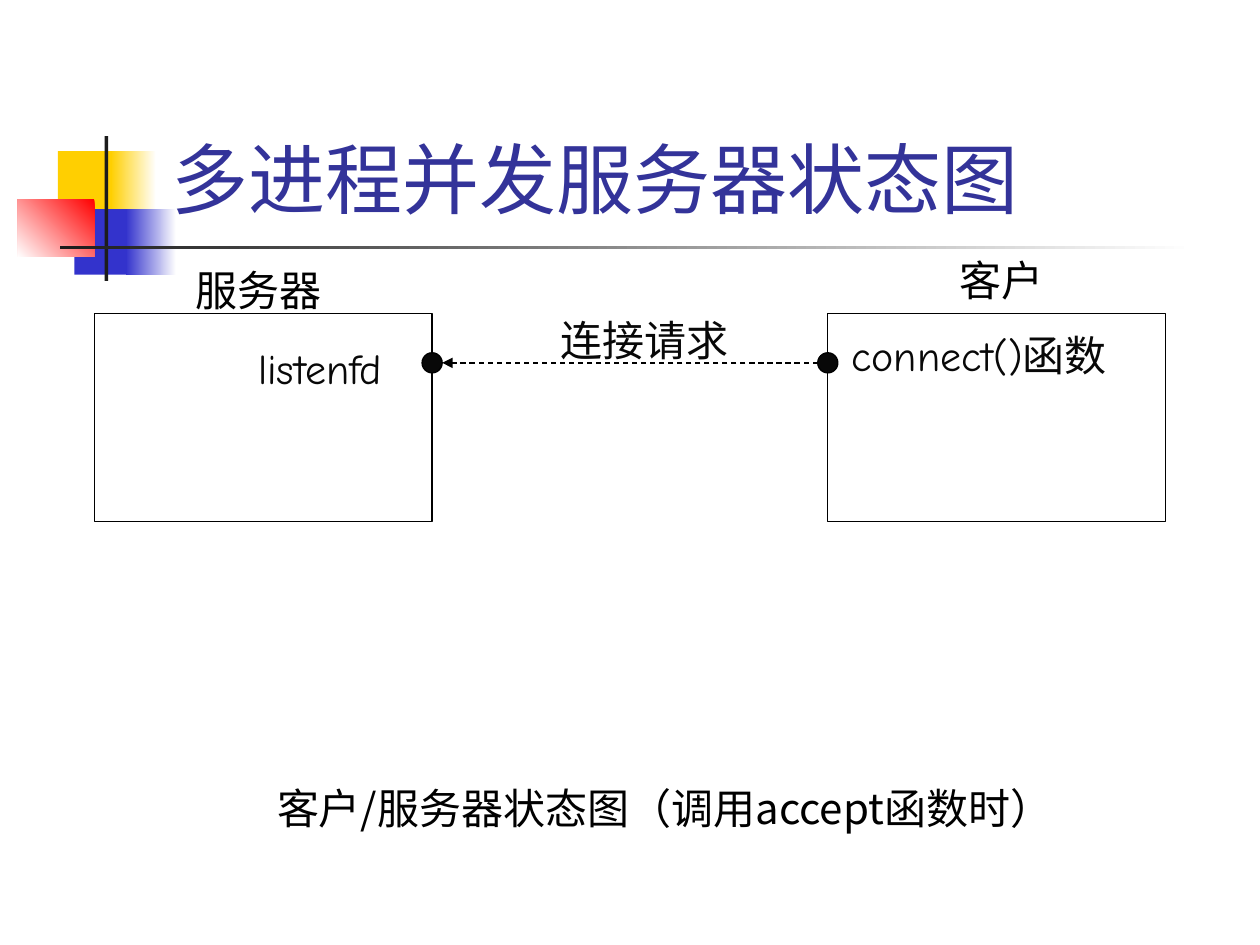
from lxml.etree import SubElement
from pptx import Presentation
from pptx.dml.color import RGBColor
from pptx.enum.dml import MSO_LINE
from pptx.enum.shapes import MSO_CONNECTOR, MSO_SHAPE
from pptx.enum.text import MSO_ANCHOR, MSO_AUTO_SIZE, PP_ALIGN
from pptx.oxml.ns import qn
from pptx.util import Inches, Pt

BLACK = RGBColor(0x00, 0x00, 0x00)
INK = RGBColor(0x08, 0x08, 0x08)
CHARCOAL = RGBColor(0x1C, 0x1C, 0x1C)
WHITE = RGBColor(0xFF, 0xFF, 0xFF)
YELLOW = RGBColor(0xFF, 0xCF, 0x01)
BLUE = RGBColor(0x33, 0x33, 0xCC)
RED = RGBColor(0xFF, 0x00, 0x00)
NAVY = RGBColor(0x33, 0x33, 0x99)

SLIDE_W, SLIDE_H = 10, 7.5
TITLE = "多进程并发服务器状态图"
TITLE_AREA = (1.26, 0.23, 8.52, 1.6)

# area, colours (one is solid, two fade), counterclockwise fade angle
ORNAMENTS = [
    ((0.46, 1.2, 0.48, 0.52), [YELLOW], 0),
    ((0.88, 1.2, 0.36, 0.52), [WHITE, YELLOW], 180),
    ((0.59, 1.66, 0.46, 0.52), [BLUE], 0),
    ((1, 1.66, 0.4, 0.52), [WHITE, BLUE], 180),
    ((0.14, 1.58, 0.61, 0.46), [RED, WHITE], 225),
    ((0.83, 1.08, 0.03, 1.15), [CHARCOAL], 0),
    ((0.48, 1.95, 9, 0.03), [WHITE, CHARCOAL], 180),
]

MARGIN = 0.75
BOX_TOP, BOX_W, BOX_H = 2.49, 2.68, 1.65
SERVER_LEFT = MARGIN
CLIENT_LEFT = SLIDE_W - MARGIN - BOX_W
PORT_SIZE, PORT_Y = 0.16, 2.88
PORTS_X = (SERVER_LEFT + BOX_W, CLIENT_LEFT)

LABEL_H = 0.5
# text, left, top, width, font, colour; widths leave a little room to spare
LABELS = [
    ("服务器", 1.45, 2.05, 1.25, "Arial", BLACK),
    ("客户", 7.52, 1.97, 0.95, "Arial", BLACK),
    ("connect()函数", 6.66, 2.57, 2.4, "Comic Neue", INK),
    ("listenfd", 1.95, 2.67, 1.25, "Comic Neue", INK),
    ("客户/服务器状态图（调用accept函数时）", 2.1, 6.16, 6.75, "Noto Sans CJK JP", BLACK),
    ("连接请求", 4.35, 2.45, 1.6, "Arial", INK),
]


def inches(lengths):
    return [Inches(length) for length in lengths]


def add_plain_shape(slide, preset, area, colours=(), angle=0, outlined=True):
    """Add a shape with no fill, a solid fill or a two-colour fade."""
    shape = slide.shapes.add_shape(preset, *inches(area))
    shape.shadow.inherit = False
    if len(colours) == 2:
        shape.fill.gradient()
        shape.fill.gradient_angle = angle
        for stop, colour in zip(shape.fill.gradient_stops, colours):
            stop.color.rgb = colour
    elif colours:
        shape.fill.solid()
        shape.fill.fore_color.rgb = colours[0]
    else:
        shape.fill.background()
    if outlined:
        shape.line.color.rgb = BLACK
        shape.line.width = Pt(0.75)
    else:
        shape.line.fill.background()


def add_title(slide):
    title = slide.shapes.title
    title.left, title.top, title.width, title.height = inches(TITLE_AREA)
    title.text_frame.text = TITLE
    title.text_frame.vertical_anchor = MSO_ANCHOR.BOTTOM
    title.text_frame.auto_size = MSO_AUTO_SIZE.NONE
    heading = title.text_frame.paragraphs[0]
    heading.alignment = PP_ALIGN.LEFT
    heading.font.size = Pt(44)
    heading.font.name = "Karla"
    heading.font.color.rgb = NAVY


def add_request_arrow(slide):
    start_x, end_x = PORTS_X[1] - PORT_SIZE / 2, PORTS_X[0] + PORT_SIZE / 2
    arrow = slide.shapes.add_connector(
        MSO_CONNECTOR.STRAIGHT, *inches((start_x, PORT_Y, end_x, PORT_Y)))
    arrow.line.color.rgb = BLACK
    arrow.line.width = Pt(0.75)
    arrow.line.dash_style = MSO_LINE.DASH
    properties = arrow.element.spPr
    SubElement(properties.find(qn("a:ln")), qn("a:tailEnd"), type="triangle")
    SubElement(properties, qn("a:effectLst"))


def add_label(slide, text, left, top, width, font, colour):
    label = slide.shapes.add_textbox(*inches((left, top, width, LABEL_H)))
    label.text_frame.text = text
    # A fixed frame keeps the left edge of the text in place.
    label.text_frame.word_wrap = False
    label.text_frame.auto_size = MSO_AUTO_SIZE.NONE
    line = label.text_frame.paragraphs[0]
    line.alignment = PP_ALIGN.LEFT
    line.font.size = Pt(24)
    line.font.name = font
    line.font.color.rgb = colour


def main():
    deck = Presentation()
    deck.slide_width, deck.slide_height = inches((SLIDE_W, SLIDE_H))
    slide = deck.slides.add_slide(deck.slide_layouts.get_by_name("Title Only"))

    for area, colours, angle in ORNAMENTS:
        add_plain_shape(slide, MSO_SHAPE.RECTANGLE, area, colours, angle, outlined=False)
    # The title overlaps the ornaments, so it goes in front of them.
    slide.shapes.element.append(slide.shapes.title.element)
    add_title(slide)

    for left in (SERVER_LEFT, CLIENT_LEFT):
        add_plain_shape(slide, MSO_SHAPE.RECTANGLE, (left, BOX_TOP, BOX_W, BOX_H))
    for x in PORTS_X:
        corner = (x - PORT_SIZE / 2, PORT_Y - PORT_SIZE / 2)
        add_plain_shape(slide, MSO_SHAPE.OVAL, (*corner, PORT_SIZE, PORT_SIZE), [INK])
    add_request_arrow(slide)
    for label in LABELS:
        add_label(slide, *label)

    deck.save("out.pptx")


if __name__ == "__main__":
    main()
